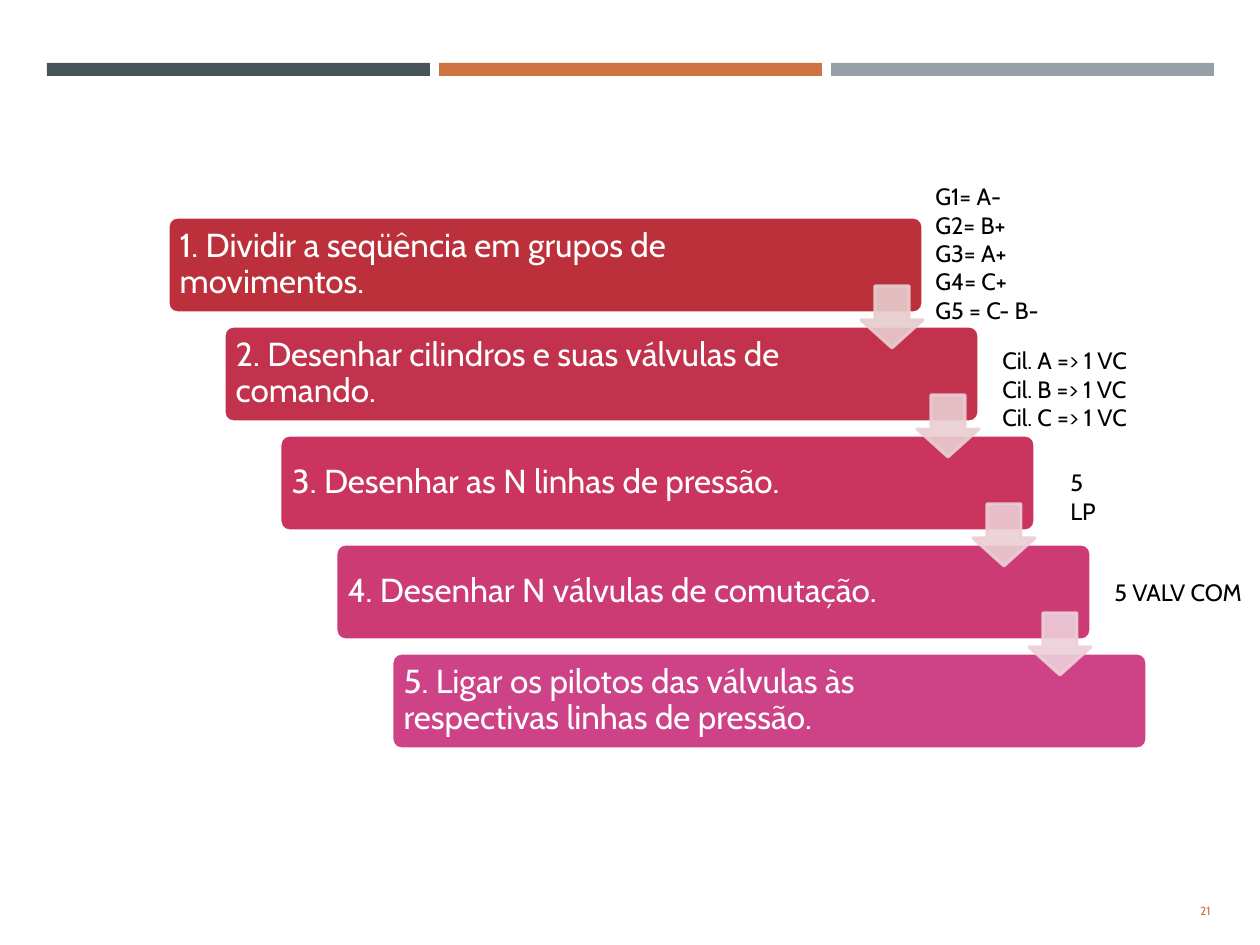
import dataclasses
import typing

import lxml.etree
import pptx
import pptx.dml.color
import pptx.enum.shapes
import pptx.enum.text
import pptx.oxml.ns
import pptx.util

EMU_PER_PX = 914400 / 126
SHAPES = pptx.enum.shapes.MSO_SHAPE
ALIGN = pptx.enum.text.PP_ALIGN
ANCHOR = pptx.enum.text.MSO_ANCHOR


@dataclasses.dataclass(frozen=True)
class Theme:
    font: str = "Cabin"
    white: str = "FFFFFF"
    black: str = "000000"
    accent: str = "CE7242"
    bars: tuple[str, ...] = ("465359", "CE7242", "969FA7")
    step_size: float = 19
    note_size: float = 13.5
    number_size: float = 6.8
    outline: float = 1.75
    arrow_opacity: int = 90


class Box(typing.NamedTuple):
    left: int
    top: int
    width: int
    height: int


class Step(typing.NamedTuple):
    text: str
    fill: str
    arrow: str | None


class Note(typing.NamedTuple):
    box: Box
    lines: tuple[str, ...]


THEME = Theme()
STEPS = (
    Step("1. Dividir a seqüência em grupos de movimentos.", "BC303B", "E7CDCE"),
    Step("2. Desenhar cilindros e suas válvulas de comando.", "C3324C", "E9CED2"),
    Step("3. Desenhar as N linhas de pressão.", "CA345F", "EBCED5"),
    Step("4. Desenhar N válvulas de comutação.", "CC3B73", "EDCFDA"),
    Step("5. Ligar os pilotos das válvulas às respectivas linhas de pressão.", "CE4287", None),
)
NOTES = (
    Note(Box(923, 176, 141, 156), ("G1= A-", "G2= B+", "G3= A+", "G4= C+", "G5 = C- B-")),
    Note(Box(990, 340, 166, 98), ("Cil. A => 1 VC", "Cil. B => 1 VC", "Cil. C => 1 VC")),
    Note(Box(1058, 462, 64, 70), ("5 LP",)),
    Note(Box(1102, 572, 156, 42), ("5 VALV COM",)),
)
FIRST_STEP = Box(168, 217, 755, 96)
STEP_RIGHT, STEP_DOWN = 56, 109
ARROW_OFFSET_X, ARROW_OFFSET_Y, ARROW_SIZE = 693, 69, 62
FIRST_BAR = Box(47, 63, 383, 13)
BAR_PITCH = 392


def px(length: int) -> int:
    return round(length * EMU_PER_PX)


def place(box: Box) -> list[int]:
    return [px(length) for length in box]


def color(value: str) -> pptx.dml.color.RGBColor:
    return pptx.dml.color.RGBColor.from_string(value)


def add_shape(page, kind, box: Box, fill: str, *, line: str | None = None, adjust=()):
    shape = page.shapes.add_shape(kind, *place(box))
    shape.shadow.inherit = False
    shape.fill.solid()
    shape.fill.fore_color.rgb = color(fill)
    if line:
        shape.line.color.rgb = color(line)
        shape.line.width = pptx.util.Pt(THEME.outline)
    else:
        shape.line.fill.background()
    for index, value in enumerate(adjust):
        shape.adjustments[index] = value
    return shape


def set_opacity(shape, percent: int) -> None:
    for element in shape.element.spPr.iter(pptx.oxml.ns.qn("a:srgbClr")):
        alpha = lxml.etree.SubElement(element, pptx.oxml.ns.qn("a:alpha"))
        alpha.set("val", str(percent * 1000))


def write(shape, *lines: str, size: float, ink: str, align=ALIGN.LEFT,
          anchor=ANCHOR.TOP, spacing: float = 1.0) -> None:
    frame = shape.text_frame
    frame.word_wrap = True
    frame.vertical_anchor = anchor
    for index, text in enumerate(lines):
        para = frame.add_paragraph() if index else frame.paragraphs[0]
        para.alignment = align
        para.line_spacing = spacing
        span = para.add_run()
        span.text = text
        span.font.name = THEME.font
        span.font.size = pptx.util.Pt(size)
        span.font.color.rgb = color(ink)


def add_step(page, index: int, step: Step) -> None:
    box = FIRST_STEP._replace(left=FIRST_STEP.left + index * STEP_RIGHT,
                              top=FIRST_STEP.top + index * STEP_DOWN)
    shape = add_shape(page, SHAPES.ROUNDED_RECTANGLE, box, step.fill,
                      line=THEME.white, adjust=(0.1,))
    frame = shape.text_frame
    frame.margin_left = px(9)
    frame.margin_right = px(131)
    frame.margin_top = frame.margin_bottom = px(10)
    write(shape, step.text, size=THEME.step_size, ink=THEME.white,
          anchor=ANCHOR.MIDDLE, spacing=0.9)


def add_arrow(page, index: int, fill: str) -> None:
    box = Box(FIRST_STEP.left + index * STEP_RIGHT + ARROW_OFFSET_X,
              FIRST_STEP.top + index * STEP_DOWN + ARROW_OFFSET_Y,
              ARROW_SIZE, ARROW_SIZE)
    arrow = add_shape(page, SHAPES.DOWN_ARROW, box, fill, line=fill, adjust=(0.55, 0.45))
    set_opacity(arrow, THEME.arrow_opacity)


def main() -> None:
    deck = pptx.Presentation()
    deck.slide_width, deck.slide_height = px(1260), px(945)
    page = deck.slides.add_slide(deck.slide_layouts[6])

    for index, fill in enumerate(THEME.bars):
        box = FIRST_BAR._replace(left=FIRST_BAR.left + index * BAR_PITCH)
        add_shape(page, SHAPES.RECTANGLE, box, fill)

    number = page.shapes.add_textbox(*place(Box(1115, 886, 108, 50)))
    write(number, "21", size=THEME.number_size, ink=THEME.accent,
          align=ALIGN.RIGHT, anchor=ANCHOR.MIDDLE)

    for index, step in enumerate(STEPS):
        add_step(page, index, step)
    for index, step in enumerate(STEPS):
        if step.arrow:
            add_arrow(page, index, step.arrow)

    for note in NOTES:
        label = page.shapes.add_textbox(*place(note.box))
        write(label, *note.lines, size=THEME.note_size, ink=THEME.black)

    deck.save("out.pptx")


if __name__ == "__main__":
    main()
